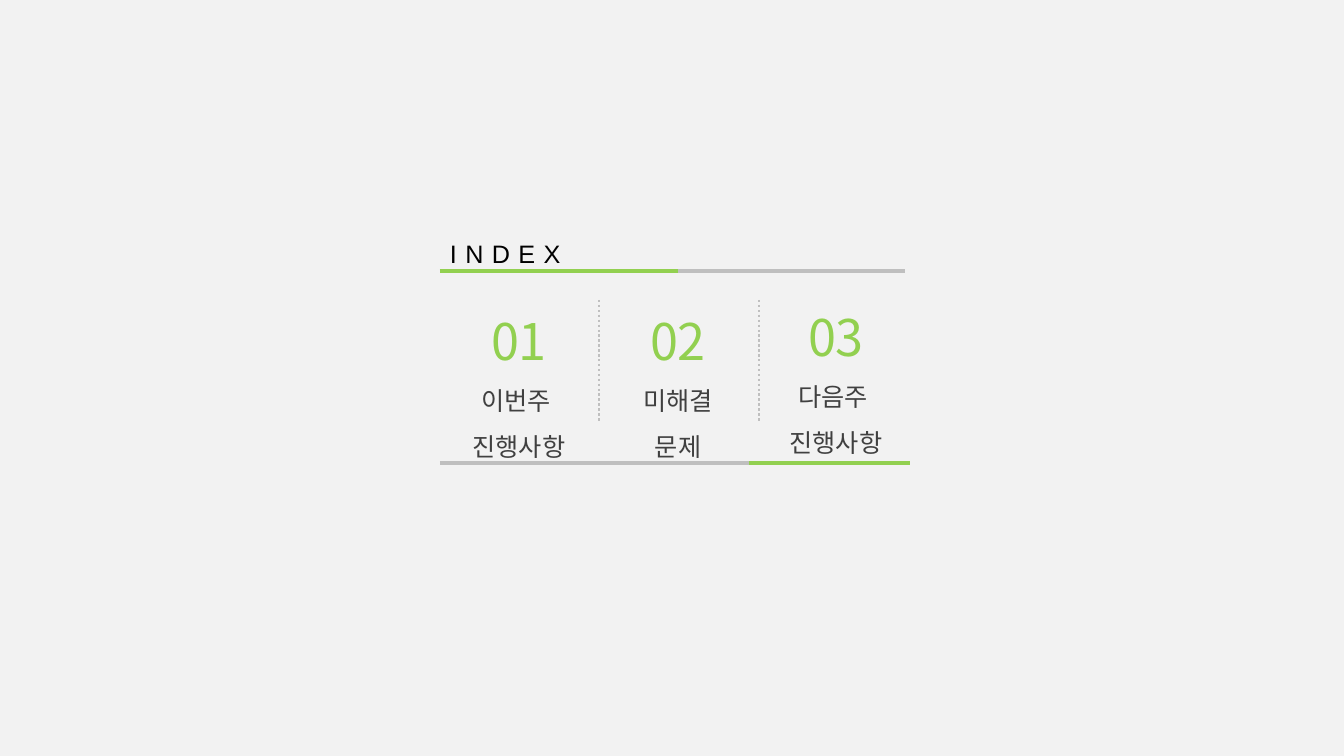
import pptx
import pptx.util
import pptx.dml.color
import pptx.enum.dml
import pptx.enum.shapes
import pptx.enum.text
import pptx.oxml.ns
import lxml.etree

RGBColor = pptx.dml.color.RGBColor
GREEN = RGBColor(0x92, 0xD0, 0x50)
SILVER = RGBColor(0xBF, 0xBF, 0xBF)
CHARCOAL = RGBColor(0x40, 0x40, 0x40)
BLACK = RGBColor(0, 0, 0)
BACKGROUND = RGBColor(0xF2, 0xF2, 0xF2)
LATIN_FONT = "Arial"
KOREAN_FONT = "Noto Sans CJK KR"

TITLE = "INDEX"
# left, top, lines
SECTIONS = [
    (440, 275, ["01", "이번주 ", "진행사항"]),
    (599, 275, ["02", "미해결", "문제"]),
    (757, 271, ["03", "다음주 ", "진행사항"]),
]
# left, right, y, colour, points
RULES = [
    (440, 905, 271, SILVER, 2.5),
    (440, 678, 271, GREEN, 3),
    (440, 910, 463, SILVER, 2.5),
    (749, 910, 463, GREEN, 3),
]
DIVIDERS = [599, 759]
DIVIDER_TOP, DIVIDER_BOTTOM = 300, 423
SECTION_WIDTH, SECTION_HEIGHT = 158, 187


def px(length):
    return round(length * 914400 / 100.8)


def add_line(page, start, end, colour, points):
    line = page.shapes.add_connector(
        pptx.enum.shapes.MSO_CONNECTOR.STRAIGHT, *map(px, start + end))
    line.line.color.rgb = colour
    line.line.width = pptx.util.Pt(points)
    lxml.etree.SubElement(line._element.spPr, pptx.oxml.ns.qn("a:effectLst"))
    return line


def add_text(page, left, top, width, height, lines):
    """Add a text box; each line is (text, size, colour, font)."""
    box = page.shapes.add_textbox(*map(px, (left, top, width, height)))
    frame = box.text_frame
    frame.word_wrap = True
    frame.auto_size = pptx.enum.text.MSO_AUTO_SIZE.SHAPE_TO_FIT_TEXT
    frame.text = "\n".join(text for text, *style in lines)
    for para, (text, size, colour, font) in zip(frame.paragraphs, lines):
        para.font.size = pptx.util.Pt(size)
        para.font.color.rgb = colour
        para.font.name = font
        east_asian = lxml.etree.SubElement(
            para.font._element, pptx.oxml.ns.qn("a:ea"))
        east_asian.set("typeface", font)
    return frame.paragraphs


deck = pptx.Presentation()
deck.slide_width = px(1344)
deck.slide_height = px(756)
page = deck.slides.add_slide(deck.slide_layouts[6])
page.background.fill.solid()
page.background.fill.fore_color.rgb = BACKGROUND

for left, right, y, colour, points in RULES:
    add_line(page, (left, y), (right, y), colour, points)

title = add_text(page, 440, 233, 450, 40, [(TITLE, 18, BLACK, LATIN_FONT)])[0]
title.font._element.set("spc", "600")

for left, top, (number, *labels) in SECTIONS:
    lines = [(number, 36, GREEN, KOREAN_FONT)]
    lines += [(label, 18, CHARCOAL, KOREAN_FONT) for label in labels]
    for para in add_text(page, left, top, SECTION_WIDTH, SECTION_HEIGHT, lines):
        para.alignment = pptx.enum.text.PP_ALIGN.CENTER
        para.line_spacing = 1.5

for x in DIVIDERS:
    divider = add_line(page, (x, DIVIDER_TOP), (x, DIVIDER_BOTTOM), SILVER, 1.75)
    divider.line.dash_style = pptx.enum.dml.MSO_LINE.ROUND_DOT

deck.save("out.pptx")
